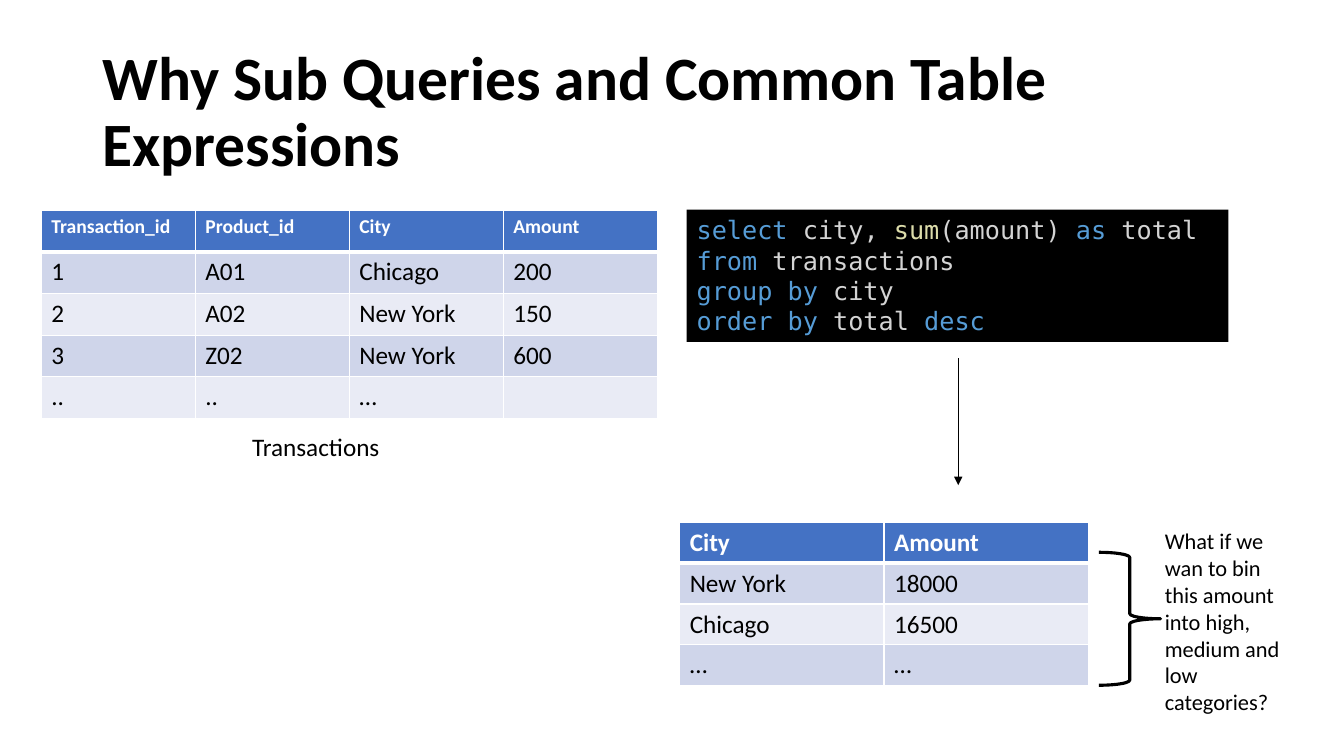
"""Build a slide on why sub queries and common table expressions are useful."""
import pptx
import pptx.util
import pptx.dml.color
import pptx.enum.shapes
import pptx.enum.text
import pptx.oxml
import pptx.oxml.ns
import lxml.etree

Pt = pptx.util.Pt
COLORS = {
    "black": "000000", "white": "FFFFFF", "header": "4472C4",
    "odd_row": "CFD5EA", "even_row": "E9EBF5",
    "keyword": "569CD6", "plain": "D4D4D4", "function": "DCDCAA",
}
rgb = {name: pptx.dml.color.RGBColor.from_string(value) for name, value in COLORS.items()}

presentation = pptx.Presentation()
presentation.slide_width, presentation.slide_height = Pt(960), Pt(540)
slide = presentation.slides.add_slide(presentation.slide_layouts[6])


def style_font(run, size, color, bold=False, name="Calibri"):
    run.font.name, run.font.size, run.font.bold = name, Pt(size), bold
    run.font.color.rgb = rgb[color]


def add_data_table(left, top, column_width, row_height, header_size, rows):
    column_count = len(rows[0])
    frame = slide.shapes.add_table(
        len(rows), column_count, Pt(left), Pt(top),
        Pt(column_width * column_count), Pt(row_height * len(rows)))
    for row_index, values in enumerate(rows):
        is_header = row_index == 0
        fill = "header" if is_header else "odd_row" if row_index % 2 else "even_row"
        for column_index, value in enumerate(values):
            cell = frame.table.cell(row_index, column_index)
            properties = cell._tc.get_or_add_tcPr()
            for side in ("lnL", "lnR", "lnT", "lnB"):
                thick = (is_header and side == "lnB") or (row_index == 1 and side == "lnT")
                properties.append(pptx.oxml.parse_xml(
                    f'<a:{side} {pptx.oxml.ns.nsdecls("a")} w="{Pt(3 if thick else 1)}">'
                    f'<a:solidFill><a:srgbClr val="{COLORS["white"]}"/></a:solidFill></a:{side}>'))
            cell.fill.solid()
            cell.fill.fore_color.rgb = rgb[fill]
            cell.text_frame.text = value
            for run in cell.text_frame.paragraphs[0].runs:
                style_font(run, header_size if is_header else 18,
                           "white" if is_header else "black", is_header)


add_data_table(29.5, 150, 110, 29.8, 14, [
    ["Transaction_id", "Product_id", "City", "Amount"],
    ["1", "A01", "Chicago", "200"],
    ["2", "A02", "New York", "150"],
    ["3", "Z02", "New York", "600"],
    ["..", "..", "…", ""],
])
add_data_table(485.5, 373, 146, 29.2, 18, [
    ["City", "Amount"],
    ["New York", "18000"],
    ["Chicago", "16500"],
    ["…", "…"],
])

labels = [
    ("Why Sub Queries and Common Table Expressions", 66, 28.75, 828, 104.5, 44, True),
    ("Transactions", 173, 304.5, 129, 29, 18, False),
    ("What if we wan to bin this amount into high, medium and low categories?",
     825, 373, 105, 143, 16, False),
]
for text, left, top, width, height, size, is_title in labels:
    text_frame = slide.shapes.add_textbox(Pt(left), Pt(top), Pt(width), Pt(height)).text_frame
    text_frame.word_wrap = True
    text_frame.text = text
    paragraph = text_frame.paragraphs[0]
    style_font(paragraph.runs[0], size, "black", is_title)
    if is_title:
        text_frame.vertical_anchor = pptx.enum.text.MSO_ANCHOR.MIDDLE
        paragraph.line_spacing = 0.9

query_lines = [
    [("select", "keyword"), (" city, ", "plain"), ("sum", "function"),
     ("(amount) ", "plain"), ("as", "keyword"), (" total", "plain")],
    [("from", "keyword"), (" transactions", "plain")],
    [("group by", "keyword"), (" city", "plain")],
    [("order by", "keyword"), (" total ", "plain"), ("desc", "keyword")],
]
query_box = slide.shapes.add_shape(
    pptx.enum.shapes.MSO_SHAPE.RECTANGLE, Pt(490.5), Pt(149.75), Pt(387), Pt(94.5))
query_box.shadow.inherit = False
query_box.fill.solid()
query_box.fill.fore_color.rgb = rgb["black"]
query_box.line.fill.background()
query_frame = query_box.text_frame
query_frame.word_wrap = True
query_frame.vertical_anchor = pptx.enum.text.MSO_ANCHOR.TOP
for line_index, tokens in enumerate(query_lines):
    paragraph = query_frame.add_paragraph() if line_index else query_frame.paragraphs[0]
    paragraph.alignment = pptx.enum.text.PP_ALIGN.LEFT
    for text, color in tokens:
        run = paragraph.add_run()
        run.text = text
        style_font(run, 18, color, name="DejaVu Sans Mono")

result_arrow = slide.shapes.add_connector(
    pptx.enum.shapes.MSO_CONNECTOR.STRAIGHT, Pt(684.5), Pt(256), Pt(684.5), Pt(346.5))
result_arrow.line.color.rgb = rgb["black"]
result_arrow.line.width = Pt(0.5)
lxml.etree.SubElement(
    result_arrow.line._get_or_add_ln(), pptx.oxml.ns.qn("a:tailEnd"), type="triangle")
lxml.etree.SubElement(result_arrow._element.spPr, pptx.oxml.ns.qn("a:effectLst"))

brace = slide.shapes.add_shape(
    pptx.enum.shapes.MSO_SHAPE.RIGHT_BRACE, Pt(785), Pt(394.5), Pt(44), Pt(95))
brace.shadow.inherit = False
brace.fill.background()
brace.line.color.rgb = rgb["black"]
brace.line.width = Pt(2.25)

presentation.save("out.pptx")
